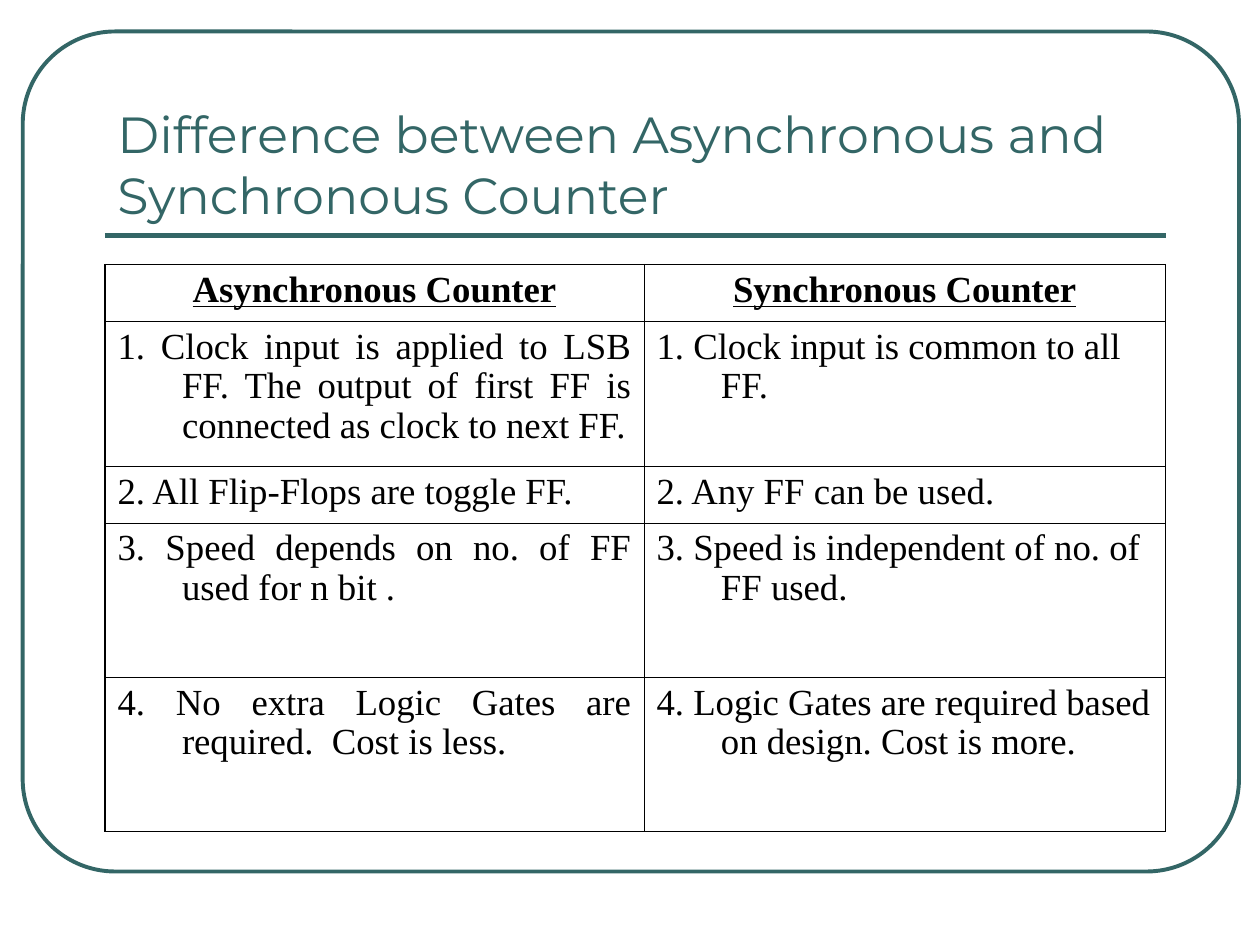
from dataclasses import dataclass

from lxml import etree
from pptx import Presentation
from pptx.dml.color import RGBColor
from pptx.enum.shapes import MSO_CONNECTOR, MSO_SHAPE
from pptx.enum.text import MSO_ANCHOR, PP_ALIGN
from pptx.oxml.ns import qn
from pptx.util import Pt

ROUNDED = MSO_SHAPE.ROUNDED_RECTANGLE
STRAIGHT = MSO_CONNECTOR.STRAIGHT
BOTTOM = MSO_ANCHOR.BOTTOM
LEFT, CENTER, JUSTIFY = PP_ALIGN.LEFT, PP_ALIGN.CENTER, PP_ALIGN.JUSTIFY


@dataclass(frozen=True)
class Theme:
    accent: RGBColor = RGBColor(0x33, 0x66, 0x66)
    ink: RGBColor = RGBColor(0, 0, 0)
    title_font: str = "Montserrat"
    table_font: str = "Times New Roman"
    title_size: float = 29
    table_size: float = 21
    frame_line: float = 2.25
    rule_line: float = 3
    outer_border: float = 1.08
    inner_border: float = 0.45
    hanging_indent: float = 36.8
    cell_line_spacing: float = 0.97


class SlideBuilder:
    def __init__(self, slide, theme):
        self.slide = slide
        self.theme = theme

    def frame(self, left, top, width, height, rounding):
        shape = self.slide.shapes.add_shape(
            ROUNDED, Pt(left), Pt(top), Pt(width), Pt(height))
        shape.adjustments[0] = rounding
        shape.shadow.inherit = False
        shape.fill.background()
        shape.line.color.rgb = self.theme.accent
        shape.line.width = Pt(self.theme.frame_line)

    def rule(self, left, right, y):
        connector = self.slide.shapes.add_connector(
            STRAIGHT, Pt(left), Pt(y), Pt(right), Pt(y))
        connector.line.color.rgb = self.theme.accent
        connector.line.width = Pt(self.theme.rule_line)
        properties = connector._element.find(qn("p:spPr"))
        etree.SubElement(properties, qn("a:effectLst"))

    def run(self, paragraph, text, font, size, color):
        run = paragraph.add_run()
        run.text = text
        run.font.name = font
        run.font.size = Pt(size)
        run.font.color.rgb = color
        return run

    def title(self, text, left, top, width, height):
        box = self.slide.shapes.add_textbox(
            Pt(left), Pt(top), Pt(width), Pt(height))
        box.text_frame.word_wrap = True
        box.text_frame.vertical_anchor = BOTTOM
        self.run(box.text_frame.paragraphs[0], text, self.theme.title_font,
                 self.theme.title_size, self.theme.accent)

    def borders(self, cell, outer_sides):
        """Draw all four sides, heavier on the table's outer edges."""
        properties = cell._tc.get_or_add_tcPr()
        for side in "LRTB":
            width = (self.theme.outer_border if side in outer_sides
                     else self.theme.inner_border)
            line = etree.SubElement(properties, qn(f"a:ln{side}"), w=str(Pt(width)))
            fill = etree.SubElement(line, qn("a:solidFill"))
            etree.SubElement(fill, qn("a:srgbClr"), val=str(self.theme.ink))

    def cell(self, cell, text, alignment, is_header):
        cell.fill.background()
        paragraph = cell.text_frame.paragraphs[0]
        paragraph.alignment = alignment
        paragraph.line_spacing = self.theme.cell_line_spacing
        run = self.run(paragraph, text, self.theme.table_font,
                       self.theme.table_size, self.theme.ink)
        run.font.bold = is_header
        run.font.underline = is_header
        if not is_header:
            properties = paragraph._p.get_or_add_pPr()
            indent = Pt(self.theme.hanging_indent)
            properties.set("marL", str(indent))
            properties.set("indent", str(-indent))

    def table(self, rows, left, top, column_widths, row_heights):
        table = self.slide.shapes.add_table(
            len(rows), len(column_widths), Pt(left), Pt(top),
            Pt(sum(column_widths)), Pt(sum(row_heights))).table
        table.first_row = False
        table.horz_banding = False
        for column, width in zip(table.columns, column_widths):
            column.width = Pt(width)
        for row, height in zip(table.rows, row_heights):
            row.height = Pt(height)
        last_row, last_column = len(rows) - 1, len(column_widths) - 1
        for i, texts in enumerate(rows):
            for j, text in enumerate(texts):
                edges = {"T": i == 0, "B": i == last_row,
                         "L": j == 0, "R": j == last_column}
                cell = table.cell(i, j)
                self.borders(cell, [side for side in edges if edges[side]])
                alignment = CENTER if i == 0 else (JUSTIFY, LEFT)[j]
                self.cell(cell, text, alignment, i == 0)


COMPARISON = [
    ("Asynchronous Counter", "Synchronous Counter"),
    ("1. Clock input is applied to LSB FF. The output of first FF is "
     "connected as clock to next FF.",
     "1. Clock input is common to all FF."),
    ("2. All Flip-Flops are toggle FF.", "2. Any FF can be used."),
    ("3. Speed depends on no. of FF used for n bit .",
     "3. Speed is independent of no. of FF used."),
    ("4. No extra Logic Gates are required.  Cost is less.",
     "4. Logic Gates are required based on design. Cost is more."),
]


def main():
    presentation = Presentation()
    presentation.slide_width = Pt(720)
    presentation.slide_height = Pt(540)
    slide = presentation.slides.add_slide(presentation.slide_layouts[6])
    builder = SlideBuilder(slide, Theme())

    left, width = 60, 606
    builder.frame(13, 18, 695, 480, rounding=0.11)
    builder.rule(left, left + width, 134.6)
    builder.title("Difference between Asynchronous and Synchronous Counter",
                  left, 42, width, 90)
    builder.table(COMPARISON, left, 151.2, column_widths=[308, 298],
                  row_heights=[32.4, 82.8, 32.4, 88.2, 88.2])
    presentation.save("out.pptx")


if __name__ == "__main__":
    main()
